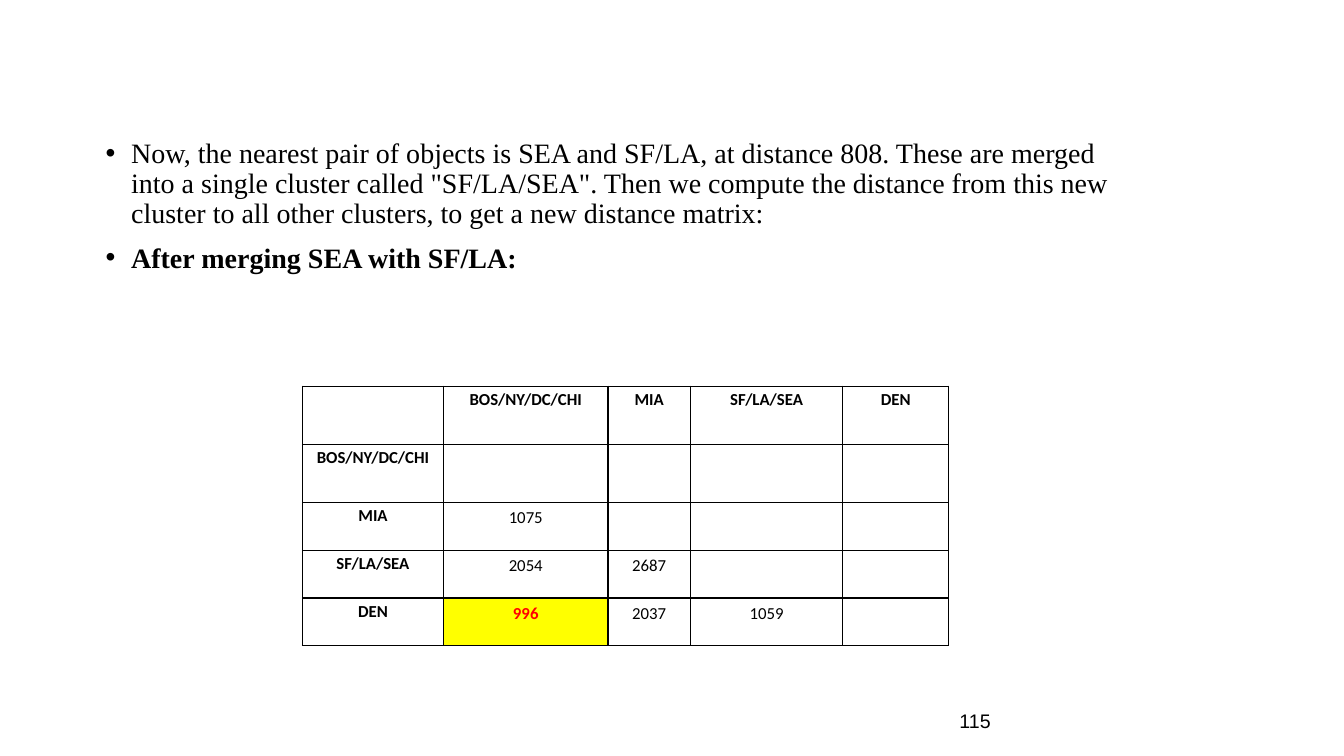
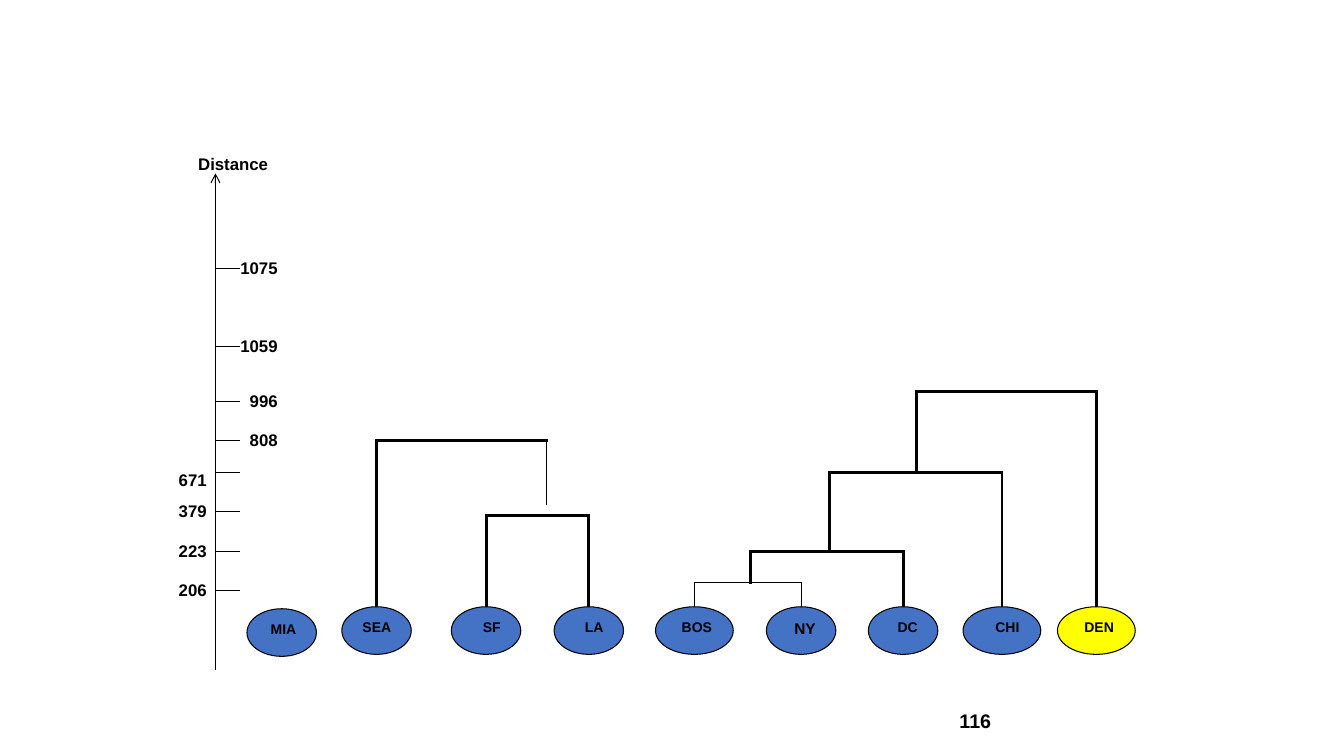
"""Build two slides on hierarchical clustering of city distances."""
from dataclasses import dataclass
from itertools import product

from lxml import etree
from pptx import Presentation
from pptx.dml.color import RGBColor
from pptx.enum.shapes import MSO_CONNECTOR, MSO_SHAPE
from pptx.enum.text import MSO_ANCHOR, MSO_AUTO_SIZE, PP_ALIGN
from pptx.oxml.ns import qn
from pptx.util import Cm, Pt

STRAIGHT = MSO_CONNECTOR.STRAIGHT
OVAL = MSO_SHAPE.OVAL
TOP, MIDDLE = MSO_ANCHOR.TOP, MSO_ANCHOR.MIDDLE
NO_AUTOFIT = MSO_AUTO_SIZE.NONE
LEFT, CENTER, RIGHT = PP_ALIGN.LEFT, PP_ALIGN.CENTER, PP_ALIGN.RIGHT

BLACK = RGBColor(0x00, 0x00, 0x00)
WHITE = RGBColor(0xFF, 0xFF, 0xFF)
BLUE = RGBColor(0x44, 0x72, 0xC4)
YELLOW = RGBColor(0xFF, 0xFF, 0x00)
RED = RGBColor(0xFF, 0x00, 0x00)

THIN, THICK = 0.75, 2
AXIS_X, TICK_LENGTH = 5.43, 0.6
LABEL_WIDTH, LABEL_HEIGHT = 1.5, 0.76
LEFT_LABEL_X, RIGHT_LABEL_X = 3.96, 5.75
CITY_TOP, CITY_HEIGHT = 15.29, 1.2

BULLETS = (
    ("Now, the nearest pair of objects is SEA and SF/LA, at distance 808. "
     "These are merged into a single cluster called \"SF/LA/SEA\". Then we "
     "compute the distance from this new cluster to all other clusters, to "
     "get a new distance matrix:", False),
    ("After merging SEA with SF/LA:", True),
)
CLUSTERS = ("BOS/NY/DC/CHI", "MIA", "SF/LA/SEA", "DEN")
DISTANCES = ((), (1075,), (2054, 2687), (996, 2037, 1059))
NEAREST = 996
COLUMN_WIDTHS = (3.56, 4.14, 2.08, 3.84, 2.67)
ROW_HEIGHTS = (1.47, 1.47, 1.2, 1.2, 1.2)


@dataclass(frozen=True)
class City:
    """A leaf of the dendrogram, placed by its centre."""
    name: str
    x: float
    width: float = 1.75
    top: float = CITY_TOP
    size: float = 10
    fill: RGBColor = BLUE


@dataclass(frozen=True)
class Tick:
    """A marked distance on the axis."""
    distance: str
    y: float
    label_x: float
    label_rise: float = 0.4


@dataclass(frozen=True)
class Merge:
    """A bracket joining two clusters."""
    left: float
    right: float
    top: float
    left_foot: float = CITY_TOP
    right_foot: float = CITY_TOP
    weight: float = THICK
    right_weight: float = THICK


CITIES = (
    City("MIA", 7.1, top=15.34),
    City("SEA", 9.49),
    City("SF", 12.25),
    City("LA", 14.84),
    City("BOS", 17.5, 1.96),
    City("NY", 20.19, size=11),
    City("DC", 22.76),
    City("CHI", 25.25, 1.96),
    City("DEN", 27.63, 1.96, fill=YELLOW),
)
TICKS = (
    Tick("1075", 6.76, RIGHT_LABEL_X),
    Tick("1059", 8.74, RIGHT_LABEL_X),
    Tick("996", 10.12, RIGHT_LABEL_X),
    Tick("808", 11.11, RIGHT_LABEL_X),
    Tick("671", 11.91, LEFT_LABEL_X, 0.2),
    Tick("379", 12.9, LEFT_LABEL_X),
    Tick("223", 13.89, LEFT_LABEL_X),
    Tick("206", 14.88, LEFT_LABEL_X),
)
MERGES = (
    Merge(17.5, 20.19, 14.69, weight=THIN, right_weight=THIN),
    Merge(18.92, 22.76, 13.89, left_foot=14.69),
    Merge(20.9, 25.25, 11.91, left_foot=13.89),
    Merge(23.09, 27.63, 9.87, left_foot=11.91),
    Merge(12.25, 14.84, 12.98),
    Merge(9.49, 13.77, 11.11, right_foot=12.7, right_weight=THIN),
)


def set_font(p, name: str, size: float, bold: bool = False,
             color: RGBColor = BLACK) -> None:
    """Format a whole paragraph."""
    p.font.name = name
    p.font.size = Pt(size)
    p.font.bold = bold
    p.font.color.rgb = color


def add_label(slide, text: str, x: float, y: float, width: float,
              height: float = LABEL_HEIGHT, size: float = 12,
              bold: bool = True, align=RIGHT, anchor=TOP) -> None:
    """Add a one-line text box."""
    tf = slide.shapes.add_textbox(Cm(x), Cm(y), Cm(width), Cm(height)).text_frame
    tf.word_wrap = False
    tf.vertical_anchor = anchor
    p = tf.paragraphs[0]
    p.text = text
    p.alignment = align
    set_font(p, "Arial", size, bold)


def add_page_number(slide, number: int, bold: bool) -> None:
    """Add the page number shared by the slides."""
    add_label(slide, str(number), 23.93, 17.65, 7.62, 1.02, 14, bold, LEFT, MIDDLE)


def add_line(slide, x1: float, y1: float, x2: float, y2: float,
             weight: float = THIN, arrow: bool = False) -> None:
    """Add a black straight line, with an arrowhead if asked."""
    line = slide.shapes.add_connector(STRAIGHT, Cm(x1), Cm(y1), Cm(x2), Cm(y2))
    line.line.color.rgb = BLACK
    line.line.width = Pt(weight)
    props = line._element.spPr
    ln = props.find(qn("a:ln"))
    ln.set("cap", "sq")
    if arrow:
        etree.SubElement(ln, qn("a:tailEnd"), type="arrow")
    etree.SubElement(props, qn("a:effectLst"))


def add_bullets(slide) -> None:
    """Fill the body placeholder with the bullet list."""
    body = slide.placeholders[1]
    body.left, body.top = Cm(2.41), Cm(3.38)
    body.width, body.height = Cm(26.67), Cm(11.63)
    tf = body.text_frame
    tf.auto_size = NO_AUTOFIT
    tf.vertical_anchor = TOP
    for i, (text, bold) in enumerate(BULLETS):
        p = tf.add_paragraph() if i else tf.paragraphs[0]
        p.text = text
        p.line_spacing = 0.9
        p.space_before = Pt(10 if i else 0)
        props = p._p.get_or_add_pPr()
        props.set("marL", str(Cm(0.64)))
        props.set("indent", str(-Cm(0.64)))
        etree.SubElement(props, qn("a:buFont"), typeface="Arial")
        etree.SubElement(props, qn("a:buChar"), char="•")
        set_font(p, "Times New Roman", 20, bold)


def set_borders(cell) -> None:
    """Draw a black line on each side of a cell."""
    props = cell._tc.get_or_add_tcPr()
    for i, side in enumerate(("lnL", "lnR", "lnT", "lnB")):
        ln = etree.Element(qn(f"a:{side}"), w=str(Pt(1)))
        fill = etree.SubElement(ln, qn("a:solidFill"))
        etree.SubElement(fill, qn("a:srgbClr"), val=str(BLACK))
        props.insert(i, ln)


def add_matrix(slide) -> None:
    """Add the distance matrix, its nearest pair highlighted."""
    rows = [("", *CLUSTERS)]
    rows += [(name, *values) for name, values in zip(CLUSTERS, DISTANCES)]
    n = len(rows)
    table = slide.shapes.add_table(
        n, n, Cm(7.62), Cm(9.73), Cm(sum(COLUMN_WIDTHS)), Cm(sum(ROW_HEIGHTS))).table
    table.first_row = table.horz_banding = False
    for column, width in zip(table.columns, COLUMN_WIDTHS):
        column.width = Cm(width)
    for row, height in zip(table.rows, ROW_HEIGHTS):
        row.height = Cm(height)
    for r, c in product(range(n), repeat=2):
        value = rows[r][c] if c < len(rows[r]) else ""
        header, nearest = r == 0 or c == 0, value == NEAREST
        cell = table.cell(r, c)
        cell.fill.solid()
        cell.fill.fore_color.rgb = YELLOW if nearest else WHITE
        margin = Cm(0.08 if header else 0.13)
        cell.margin_left = cell.margin_right = margin
        cell.margin_top = cell.margin_bottom = margin
        set_borders(cell)
        p = cell.text_frame.paragraphs[0]
        p.text = str(value)
        p.alignment = CENTER
        set_font(p, "Calibri", 12, header or nearest, RED if nearest else BLACK)


def add_city(slide, city: City) -> None:
    """Add a city oval."""
    sp = slide.shapes.add_shape(OVAL, Cm(city.x - city.width / 2), Cm(city.top),
                                Cm(city.width), Cm(CITY_HEIGHT))
    sp.shadow.inherit = False
    sp.fill.solid()
    sp.fill.fore_color.rgb = city.fill
    sp.line.color.rgb = BLACK
    sp.line.width = Pt(THIN)
    tf = sp.text_frame
    tf.margin_left = 0
    tf.vertical_anchor = TOP
    p = tf.paragraphs[0]
    p.text = city.name
    p.alignment = RIGHT
    set_font(p, "Arial", city.size, True)


def add_axis(slide) -> None:
    """Add the distance axis with its ticks."""
    add_line(slide, AXIS_X, 16.87, AXIS_X, 4.37, arrow=True)
    add_label(slide, "Distance", 4.72, 3.76, 2.29)
    for tick in TICKS:
        add_line(slide, AXIS_X, tick.y, AXIS_X + TICK_LENGTH, tick.y)
        add_label(slide, tick.distance, tick.label_x, tick.y - tick.label_rise,
                  LABEL_WIDTH)


def add_merge(slide, m: Merge) -> None:
    """Add the two legs and the bar of a merge."""
    add_line(slide, m.left, m.left_foot, m.left, m.top, m.weight)
    add_line(slide, m.left, m.top, m.right, m.top, m.weight)
    add_line(slide, m.right, m.top, m.right, m.right_foot, m.right_weight)


def build_matrix_slide(prs) -> None:
    """Build the slide with the new distance matrix."""
    slide = prs.slides.add_slide(prs.slide_layouts[1])
    title = slide.shapes.title._element
    title.getparent().remove(title)
    add_bullets(slide)
    add_matrix(slide)
    add_page_number(slide, 115, False)


def build_dendrogram_slide(prs) -> None:
    """Build the slide with the dendrogram."""
    slide = prs.slides.add_slide(prs.slide_layouts[6])
    add_axis(slide)
    for merge in MERGES:
        add_merge(slide, merge)
    for city in CITIES:
        add_city(slide, city)
    add_page_number(slide, 116, True)


def main() -> None:
    """Build and save the presentation."""
    prs = Presentation()
    prs.slide_width, prs.slide_height = Cm(33.87), Cm(19.05)
    build_matrix_slide(prs)
    build_dendrogram_slide(prs)
    prs.save("out.pptx")


if __name__ == "__main__":
    main()
